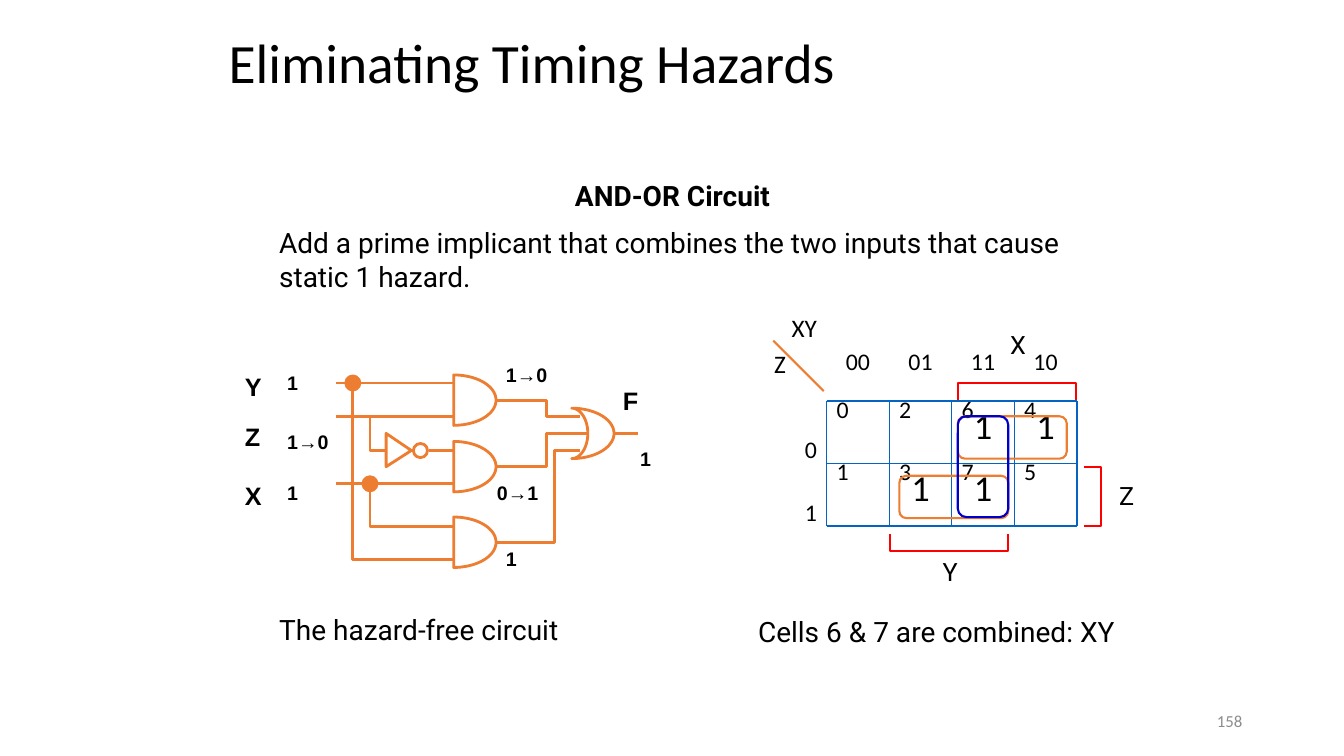
from math import cos, pi, sin

from pptx import Presentation
from pptx.dml.color import RGBColor
from pptx.enum.shapes import MSO_CONNECTOR, MSO_SHAPE
from pptx.enum.text import MSO_ANCHOR, PP_ALIGN as Align
from pptx.oxml.ns import qn
from pptx.util import Inches, Pt
from lxml.etree import SubElement

BLACK, ORANGE, BLUE = "000000", "ED7D31", "0563C1"
RED, NAVY, GRAY = "FF0000", "0000CC", "8C8C8C"

TITLE = {"name": "Calibri", "size": Pt(39.6)}
BODY = {"name": "Roboto", "size": Pt(20)}
HEADING = {**BODY, "bold": True}
SIGNAL = {"name": "Arial", "size": Pt(14), "bold": True}
PORT = {**SIGNAL, "size": Pt(18)}
VARIABLE = {"name": "Roboto", "size": Pt(18)}
AXIS = {"name": "Calibri", "size": Pt(18)}
INDEX = {"name": "Calibri", "size": Pt(17)}
MINTERM = {"name": "Calibri", "size": Pt(26)}
NUMBER = {"name": "Calibri", "size": Pt(12)}

# Karnaugh map grid
MAP_LEFT, MAP_TOP, CELL = 8.2, 3.98, 0.62
MAP_RIGHT, MAP_BOTTOM = MAP_LEFT + 4 * CELL, MAP_TOP + 2 * CELL
MAP_CELLS = [["0", "2", "6", "4"], ["1", "3", "7", "5"]]
ONES = {"3", "4", "6", "7"}

# Circuit
GATE_LEFT, GATE_WIDTH, GATE_HALF = 4.5, 0.42, 0.25
AND_CENTERS = [3.97, 4.63, 5.38]
OR_LEFT, OR_CENTER, OR_BACK = 5.67, 4.3, 0.16
WIRES = [
    [(3.33, 3.8), (4.5, 3.8)],
    [(3.33, 4.13), (4.5, 4.13)],
    [(3.33, 4.8), (4.5, 4.8)],
    [(4.25, 4.47), (4.5, 4.47)],
    [(3.67, 4.13), (3.67, 4.47), (3.83, 4.47)],
    [(3.67, 4.8), (3.67, 5.22), (4.5, 5.22)],
    [(3.5, 3.8), (3.5, 5.55), (4.5, 5.55)],
    [(4.92, 3.97), (5.42, 3.97), (5.42, 4.13), (5.75, 4.13)],
    [(4.92, 4.63), (5.42, 4.63), (5.42, 4.3), (5.83, 4.3)],
    [(4.92, 5.38), (5.5, 5.38), (5.5, 4.47), (5.75, 4.47)],
    [(6.08, 4.3), (6.33, 4.3)],
]
SIGNALS = [
    ("1", 2.75, 3.63), ("1→0", 2.75, 4.22), ("1", 2.75, 4.72),
    ("1→0", 4.92, 3.55), ("0→1", 4.83, 4.72), ("1", 4.92, 5.38),
    ("1", 6.25, 4.38),
]
PORTS = [("Y", 2.33, 3.63), ("Z", 2.33, 4.13), ("X", 2.33, 4.72), ("F", 6.08, 3.77)]


def color(value):
    return RGBColor.from_string(value)


def add_text(slide, box, lines, spacing=None, gap=0, wrap=True,
             anchor=MSO_ANCHOR.TOP, ink=BLACK):
    """Each line is (text, font format, alignment)."""
    frame = slide.shapes.add_textbox(*map(Inches, box)).text_frame
    frame.word_wrap = wrap
    frame.vertical_anchor = anchor
    for number, (text, font_format, alignment) in enumerate(lines):
        paragraph = frame.add_paragraph() if number else frame.paragraphs[0]
        paragraph.alignment = alignment
        if spacing:
            paragraph.line_spacing = spacing
        if number:
            paragraph.space_before = Pt(gap)
        run = paragraph.add_run()
        run.text = text
        for attribute, value in font_format.items():
            setattr(run.font, attribute, value)
        run.font.color.rgb = color(ink)


def style_outline(shape, line_color, width, fill=None):
    shape.shadow.inherit = False
    shape.line.color.rgb = color(line_color)
    shape.line.width = Pt(width)
    if fill:
        shape.fill.solid()
        shape.fill.fore_color.rgb = color(fill)
    else:
        shape.fill.background()


def add_path(slide, points, line_color, width, close=False):
    """Straight connector for two points, freeform for more."""
    points = [(Inches(x), Inches(y)) for x, y in points]
    if len(points) == 2:
        line = slide.shapes.add_connector(MSO_CONNECTOR.STRAIGHT, *points[0], *points[1])
        line.line.color.rgb = color(line_color)
        line.line.width = Pt(width)
        SubElement(line._element.spPr, qn("a:effectLst"))
        return
    builder = slide.shapes.build_freeform(*points[0])
    builder.add_line_segments(points[1:], close=close)
    style_outline(builder.convert_to_shape(), line_color, width)


def add_preset(slide, kind, box, line_color, width, fill=None):
    shape = slide.shapes.add_shape(kind, *map(Inches, box))
    style_outline(shape, line_color, width, fill)


def add_circle(slide, x, y, fill=None):
    add_preset(slide, MSO_SHAPE.OVAL, (x - 0.07, y - 0.07, 0.14, 0.14), ORANGE, 2, fill)


def half_ellipse(left, center, width, steps=40):
    angles = [pi * step / steps - pi / 2 for step in range(steps + 1)]
    return [(left + width * cos(a), center + GATE_HALF * sin(a)) for a in angles]


def add_circuit(slide):
    # Gates
    for center in AND_CENTERS:
        add_path(slide, half_ellipse(GATE_LEFT, center, GATE_WIDTH), ORANGE, 2, close=True)
    front = half_ellipse(OR_LEFT, OR_CENTER, GATE_WIDTH)
    back = half_ellipse(OR_LEFT, OR_CENTER, OR_BACK)
    add_path(slide, front + back[::-1], ORANGE, 2, close=True)
    # Inverter
    add_path(slide, [(3.83, 4.3), (4.08, 4.47), (3.83, 4.63)], ORANGE, 2, close=True)
    add_circle(slide, 4.17, 4.47)
    # Wires and junctions
    for wire in WIRES:
        add_path(slide, wire, ORANGE, 2)
    for x, y in [(3.5, 3.8), (3.67, 4.8)]:
        add_circle(slide, x, y, ORANGE)
    # Labels
    for text, x, y in SIGNALS:
        add_text(slide, (x, y, 0.67, 0.34), [(text, SIGNAL, Align.LEFT)])
    for text, x, y in PORTS:
        add_text(slide, (x, y, 0.42, 0.4), [(text, PORT, Align.LEFT)])


def add_map(slide):
    # Row and column headings
    corner = MAP_LEFT - CELL
    add_text(slide, (corner, 3.05, CELL, 0.93),
             [("XY", AXIS, Align.RIGHT), ("Z", AXIS, Align.LEFT)], gap=4)
    for column, text in enumerate(["00", "01", "11", "10"]):
        add_text(slide, (MAP_LEFT + column * CELL, 3.39, CELL, 0.59),
                 [(text, INDEX, Align.CENTER)])
    # Cells
    for row, indexes in enumerate(MAP_CELLS):
        top = MAP_TOP + row * CELL
        add_text(slide, (corner, top, CELL, CELL), [(str(row), INDEX, Align.RIGHT)], spacing=2.0)
        for column, index in enumerate(indexes):
            lines = [(index, INDEX, Align.LEFT)]
            if index in ONES:
                lines.append(("1", MINTERM, Align.CENTER))
            add_text(slide, (MAP_LEFT + column * CELL, top, CELL, CELL),
                     lines, spacing=Pt(12), gap=5)
    # Grid lines
    for row in range(3):
        y = MAP_TOP + row * CELL
        add_path(slide, [(MAP_LEFT, y), (MAP_RIGHT, y)], BLUE, 1)
    for column in range(5):
        x = MAP_LEFT + column * CELL
        add_path(slide, [(x, MAP_TOP), (x, MAP_BOTTOM)], BLUE, 1)
    add_path(slide, [(7.67, 3.38), (8.17, 3.88)], ORANGE, 1.5)
    # Variable brackets
    for bracket in [
        [(9.5, 3.97), (9.5, 3.8), (10.67, 3.8), (10.67, 3.97)],
        [(10.75, 4.63), (10.92, 4.63), (10.92, 5.22), (10.75, 5.22)],
        [(10, 5.3), (10, 5.47), (8.83, 5.47), (8.83, 5.3)],
    ]:
        add_path(slide, bracket, RED, 1.5)
    for text, x, y in [("X", 9.92, 3.22), ("Z", 11, 4.72), ("Y", 9.25, 5.47)]:
        add_text(slide, (x, y, 0.35, 0.4), [(text, VARIABLE, Align.LEFT)], wrap=False)
    # Prime implicants
    for box, line_color in [((9.5, 4.13, 1.08, 0.42), ORANGE),
                            ((8.92, 4.72, 1.08, 0.42), ORANGE),
                            ((9.5, 4.13, 0.5, 1), NAVY)]:
        add_preset(slide, MSO_SHAPE.ROUNDED_RECTANGLE, box, line_color, 1.5)


def main():
    presentation = Presentation()
    presentation.slide_width, presentation.slide_height = Inches(13.33), Inches(7.5)
    slide = presentation.slides.add_slide(presentation.slide_layouts[6])

    # Title and explanation
    add_text(slide, (2.17, 0.3, 9, 0.7), [("Eliminating Timing Hazards", TITLE, Align.LEFT)],
             spacing=0.9, anchor=MSO_ANCHOR.BOTTOM)
    add_text(slide, (2.67, 1.72, 8, 1.27), [
        ("AND-OR Circuit", HEADING, Align.CENTER),
        ("Add a prime implicant that combines the two inputs that cause static 1 hazard.",
         BODY, Align.LEFT),
    ], spacing=Pt(24), gap=10)

    add_circuit(slide)
    add_map(slide)

    # Captions and slide number
    for text, box in [("The hazard-free circuit", (2.67, 6.03, 2.98, 0.43)),
                      ("Cells 6 & 7 are combined: XY", (7.42, 6.05, 3.85, 0.43))]:
        add_text(slide, box, [(text, BODY, Align.LEFT)], spacing=Pt(24))
    add_text(slide, (9.42, 6.95, 3, 0.4), [("158", NUMBER, Align.RIGHT)],
             anchor=MSO_ANCHOR.MIDDLE, ink=GRAY)
    presentation.save("out.pptx")


if __name__ == "__main__":
    main()
